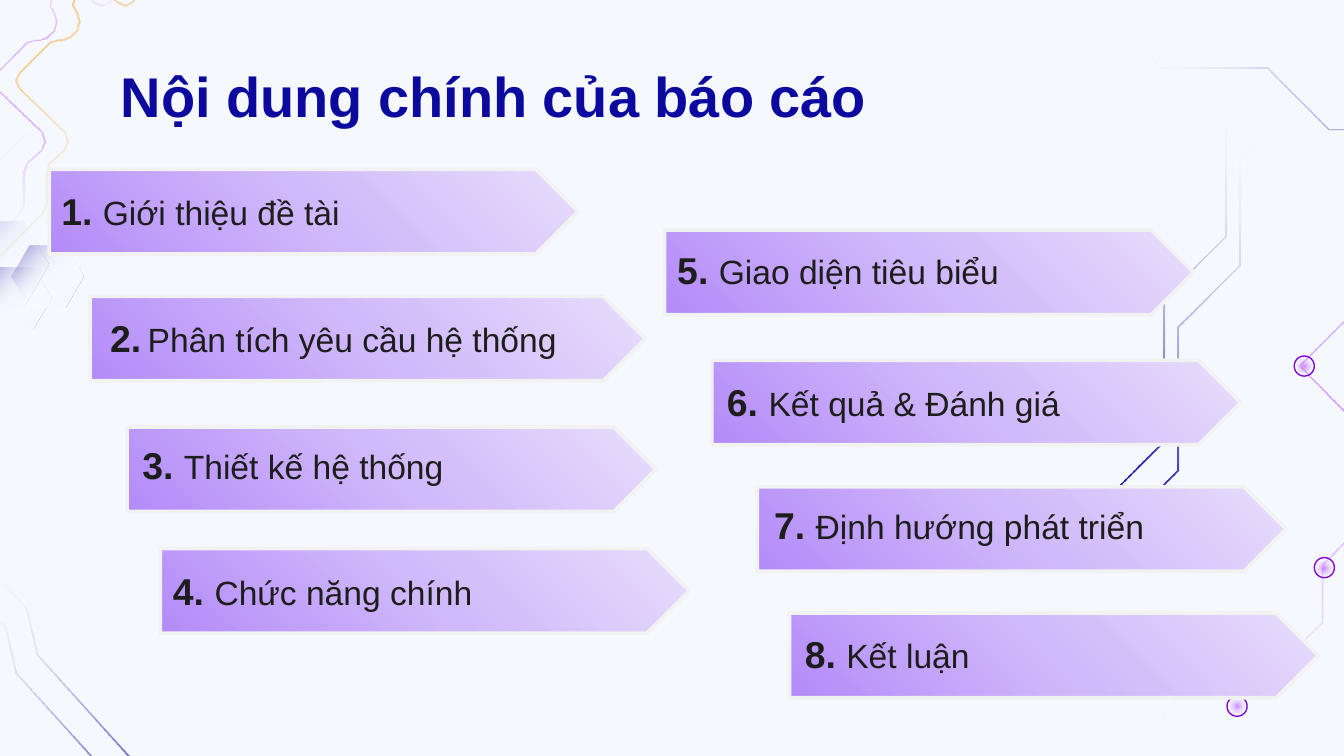
import math

from lxml import etree
from pptx import Presentation
from pptx import util as u
from pptx.dml.color import RGBColor
from pptx.enum import shapes, text
from pptx.oxml import ns

PAPER = RGBColor(0xF5, 0xF8, 0xFF)
NAVY = RGBColor(0x0C, 0x0A, 0x9E)
INK = RGBColor(0x1D, 0x1D, 0x1D)
WHITE = RGBColor(0xFF, 0xFF, 0xFF)
EDGE = RGBColor(0xF2, 0xF2, 0xF2)
VIOLET = RGBColor(0x99, 0x00, 0xFF)
RING = RGBColor(0x82, 0x08, 0xD5)
AMBER = RGBColor(0xEB, 0x91, 0x09)
ORANGE = RGBColor(0xFF, 0x99, 0x00)
LILAC = [RGBColor(0xB4, 0x8B, 0xF9), RGBColor(0xD0, 0xB9, 0xFA), RGBColor(0xE7, 0xDD, 0xFC)]

# Gradient stops: position, colour, opacity (percent)
CLEAR = (100, WHITE, 0)
NAVY_FADE = [(0, NAVY, 100), CLEAR]
VIOLET_FADE = [(0, VIOLET, 47), CLEAR]
ORANGE_FADE = [(0, AMBER, 100), (40, ORANGE, 41), CLEAR]
HEXAGON_FADE = [(0, PAPER, 100), (22, PAPER, 100), (45, WHITE, 0), (100, NAVY, 50)]
ARROW_FADE = [(position, colour, 100) for position, colour in zip((0, 50, 100), LILAC)]
CENTRE = (50, 50, 50, 50)
BOTTOM_LEFT = (0, 100, 100, 0)

# Centre lines of the ornaments, in cm
CIRCUIT = [(0, 0), (1.02, -1.02), (1.02, -3.72), (2.18, -4.88), (2.18, -6.88),
           (2.81, -7.5), (3.9, -7.5), (3.9, -7.84)]
ZIGZAG = [(30.66, 0.76), (29.11, 2.34), (29.92, 3.23), (27.18, 5.99), (26.29, 5.18),
          (24.56, 6.91), (26.62, 9.02), (24.99, 10.67), (24.99, 11.76), (23.37, 13.33),
          (22.71, 12.75), (21.95, 13.51), (22.53, 14.17), (22.28, 14.5), (22.53, 14.86)]
ROOT = [(0, 0), (-0.23, -1.19), (-2.31, -3.5), (-2.51, -4.37), (-3.43, -5.38)]
WAVE = [(1.47, -1.6), (2.64, -0.41), (2.69, -0.25), (2.49, 0.05), (2.36, 0.11),
        (2.21, 0.05), (1.93, -0.2), (1.75, -0.29), (1.6, -0.23), (1.42, -0.05),
        (1.37, 0.1), (1.45, 0.25), (1.5, 0.41), (1.45, 0.58), (1.32, 0.71),
        (1.17, 0.76), (1.09, 0.76), (0.94, 0.81), (0.38, 1.37), (0.3, 1.52),
        (0.38, 1.68), (1.22, 2.49), (1.28, 2.67), (1.22, 2.82), (0.94, 3.07),
        (0.88, 3.25), (0.88, 3.86), (0.81, 4.01), (0, 4.83)]
STUB = [(0.5, 2.5), (-0.25, 3.25), (-0.25, 1.8), (-0.83, 1.8), (-0.83, 0.48)]

# Number, label, arrow (left, top, width), text box (left, top, width)
TOPICS = [
    ("1. ", "Giới thiệu đề tài", (0.93, 3.2, 10), (0.91, 3.43, 8.99)),
    ("2.", "Phân tích yêu cầu hệ thống", (1.7, 5.6, 10.5), (1.83, 5.84, 9.91)),
    ("3. ", "Thiết kế hệ thống", (2.4, 8.07, 10), (2.44, 8.23, 9.27)),
    ("4. ", "Chức năng chính", (3.03, 10.37, 10), (3.02, 10.62, 8.43)),
    ("5. ", "Giao diện tiêu biểu", (12.56, 4.35, 10), (12.55, 4.55, 8.03)),
    ("6. ", "Kết quả & Đánh giá", (13.45, 6.81, 10), (13.49, 7.04, 8.03)),
    ("7. ", "Định hướng phát triển", (14.31, 9.2, 10), (14.38, 9.37, 8.59)),
    ("8. ", "Kết luận", (14.92, 11.59, 10), (14.96, 11.81, 6.55)),
]


def fill_gradient(shape, stops, angle=None, focus=CENTRE):
    """Linear gradient when an angle is given, else circular around the focus."""
    shape.fill.background()
    gradient = etree.Element(ns.qn("a:gradFill"), rotWithShape="1")
    stop_list = etree.SubElement(gradient, ns.qn("a:gsLst"))
    for position, colour, opacity in stops:
        stop = etree.SubElement(stop_list, ns.qn("a:gs"), pos=str(position * 1000))
        rgb = etree.SubElement(stop, ns.qn("a:srgbClr"), val=str(colour))
        etree.SubElement(rgb, ns.qn("a:alpha"), val=str(opacity * 1000))
    if angle is not None:
        etree.SubElement(gradient, ns.qn("a:lin"), ang=str(round(angle * 60000)), scaled="0")
    else:
        circle = etree.SubElement(gradient, ns.qn("a:path"), path="circle")
        sides = {side: str(value * 1000) for side, value in zip("ltrb", focus)}
        etree.SubElement(circle, ns.qn("a:fillToRect"), **sides)
    properties = shape.element.spPr
    properties.replace(properties.find(ns.qn("a:noFill")), gradient)


def style(shape, line=None, weight=1.0):
    shape.shadow.inherit = False
    if line is None:
        shape.line.fill.background()
    else:
        shape.line.color.rgb = line
        shape.line.width = u.Pt(weight)


def add_preset(slide, kind, box, line=None, weight=1.0):
    shape = slide.shapes.add_shape(kind, *map(u.Cm, box))
    style(shape, line, weight)
    shape.fill.background()
    return shape


def move(points, dx, dy):
    return [(x + dx, y + dy) for x, y in points]


def offset(points, distance):
    """Shift a polyline sideways, with mitred corners."""
    angles = [math.atan2(y2 - y1, x2 - x1) for (x1, y1), (x2, y2) in zip(points, points[1:])]
    shifted = []
    for (x, y), before, after in zip(points, angles[:1] + angles, angles + angles[-1:]):
        nx, ny = -math.sin(before) - math.sin(after), math.cos(before) + math.cos(after)
        scale = 2 * distance / (nx * nx + ny * ny)
        shifted.append((x + nx * scale, y + ny * scale))
    return shifted


def add_ribbon(slide, points, stops, angle=None, width=0.03):
    outline = offset(points, width / 2) + offset(points, -width / 2)[::-1]
    outline = [(u.Cm(x), u.Cm(y)) for x, y in outline]
    builder = slide.shapes.build_freeform(*outline[0])
    builder.add_line_segments(outline[1:], close=True)
    ribbon = builder.convert_to_shape()
    style(ribbon)
    fill_gradient(ribbon, stops, angle)


def add_run(paragraph, content, size=18, font="Arial", colour=INK, bold=False):
    run = paragraph.add_run()
    run.text = content
    run.font.size = u.Pt(size)
    run.font.name = font
    run.font.color.rgb = colour
    run.font.bold = bold


def add_text_box(slide, box, margin=None):
    frame = slide.shapes.add_textbox(*map(u.Cm, box)).text_frame
    frame.word_wrap = True
    frame.vertical_anchor = text.MSO_ANCHOR.TOP
    if margin is not None:
        frame.margin_top = u.Cm(margin)
    return frame


def draw_right_ornaments(slide):
    # Circuit lines
    for x, y in ((21.25, 9.9), (20.98, 9.35)):
        add_ribbon(slide, move(CIRCUIT, x, y), NAVY_FADE, 270)
    turned = [(y, -x) for x, y in CIRCUIT]
    add_ribbon(slide, move(turned, 28.82, 3.45), NAVY_FADE, 180)
    add_ribbon(slide, ZIGZAG, VIOLET_FADE)
    # Ringed nodes
    for x, y in ((23.38, 13.35), (25.03, 10.73), (24.65, 6.92)):
        oval = shapes.MSO_SHAPE.OVAL
        add_preset(slide, oval, (x - 0.19, y - 0.19, 0.38, 0.38), RING, 0.75)
        dot = add_preset(slide, oval, (x - 0.14, y - 0.14, 0.28, 0.28))
        fill_gradient(dot, VIOLET_FADE)


def draw_left_ornaments(slide):
    for x, y in ((3.02, 15.88), (2.62, 16.23)):
        add_ribbon(slide, move(ROOT, x, y), NAVY_FADE, 227.8)
    # Hexagons
    for box in ((-0.97, 4.19, 1.88, 1.63), (-0.38, 5.05, 1.35, 1.17), (0.23, 4.65, 1.35, 1.17)):
        hexagon = add_preset(slide, shapes.MSO_SHAPE.HEXAGON, box)
        hexagon.adjustments[0] = 0.29
        fill_gradient(hexagon, HEXAGON_FADE, 225)
    # Waves
    add_ribbon(slide, WAVE, ORANGE_FADE, 45)
    add_ribbon(slide, move(WAVE, -0.43, 0), VIOLET_FADE)
    add_ribbon(slide, STUB, [(0, NAVY, 37), CLEAR], 45)


def draw_title(slide, box):
    frame = add_text_box(slide, box, margin=0.36)
    add_run(frame.paragraphs[0], "Nội dung chính của báo cáo", size=30, colour=NAVY, bold=True)


def draw_topic(slide, number, label, arrow_box, text_box):
    left, top, width = arrow_box
    arrow = add_preset(slide, shapes.MSO_SHAPE.PENTAGON, (left, top, width, 1.6), EDGE, 2)
    fill_gradient(arrow, ARROW_FADE, focus=BOTTOM_LEFT)
    frame = add_text_box(slide, (*text_box, 1.12))
    paragraph = frame.paragraphs[0]
    add_run(paragraph, number, size=20, bold=True)
    if not number.endswith(" "):
        add_run(paragraph, " ", size=14, font="Roboto")
    add_run(paragraph, label)


def main():
    presentation = Presentation()
    presentation.slide_width, presentation.slide_height = u.Cm(25.4), u.Cm(14.29)
    slide = presentation.slides.add_slide(presentation.slide_layouts[6])
    slide.background.fill.solid()
    slide.background.fill.fore_color.rgb = PAPER
    draw_right_ornaments(slide)
    draw_left_ornaments(slide)
    draw_title(slide, (2.03, 0.81, 21.41, 1.6))
    for topic in TOPICS:
        draw_topic(slide, *topic)
    presentation.save("out.pptx")


if __name__ == "__main__":
    main()
